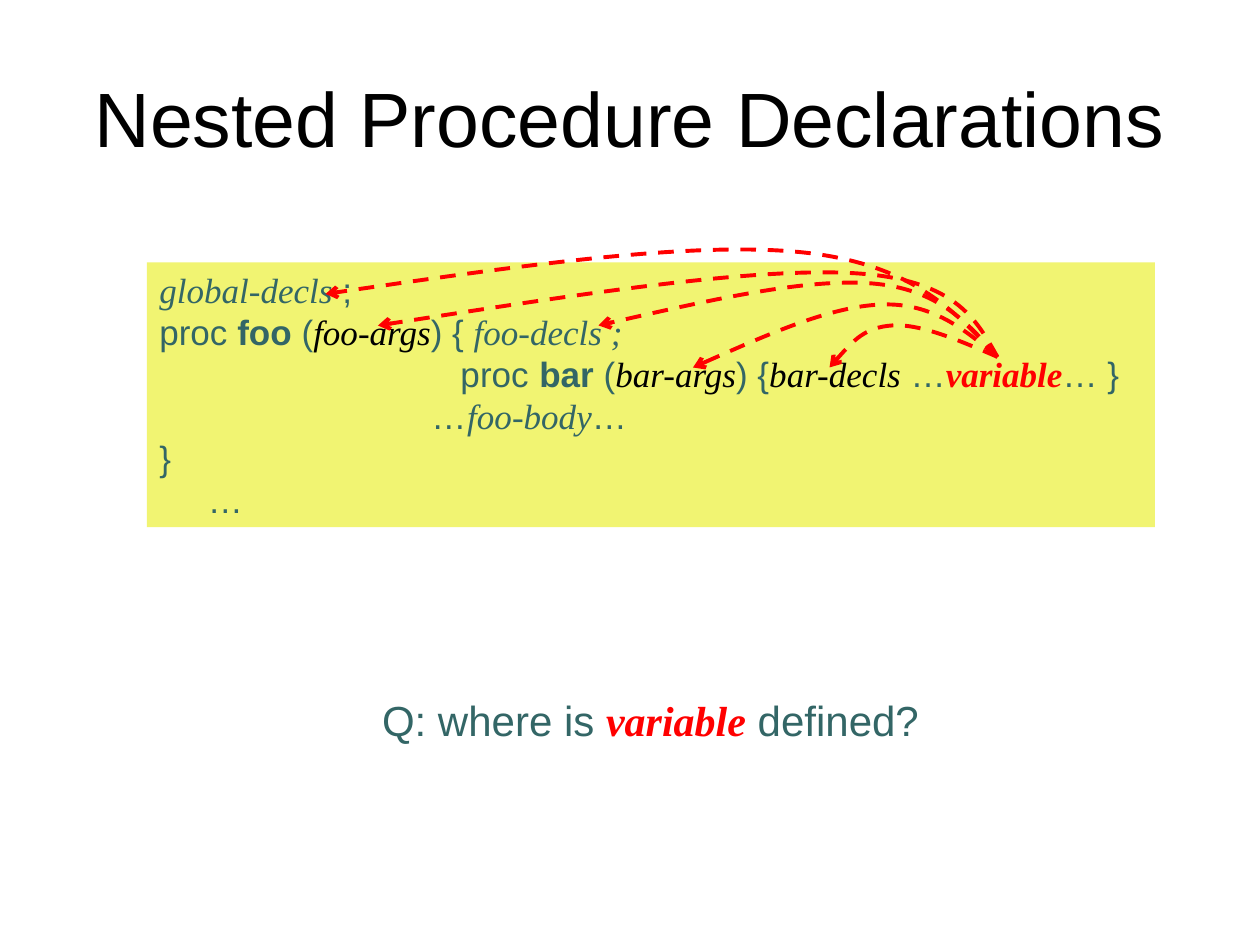
from lxml.etree import SubElement
from pptx import Presentation
from pptx.dml.color import RGBColor as RGB
from pptx.enum.dml import MSO_LINE as Dash
from pptx.enum.shapes import MSO_SHAPE as Shape
from pptx.enum.text import MSO_ANCHOR as Anchor, PP_ALIGN as Align
from pptx.oxml.ns import qn
from pptx.util import Inches, Pt

COLORS = {"black": "000000", "teal": "336666", "red": "FF0000", "lime": "F1F472"}
UNIT = Inches(1) / 12
SANS, SERIF = "Arial", "Times New Roman"
STYLES = {
    "plain": (SANS, "teal", False, False),
    "bold": (SANS, "teal", True, False),
    "italic": (SERIF, "teal", False, True),
    "arg": (SERIF, "black", False, True),
    "var": (SERIF, "red", True, True),
    "title": (SANS, "black", False, False),
}
CODE = [
    [("italic", "global-decls"), ("plain", " ;")],
    [("plain", "proc "), ("bold", "foo"), ("plain", " ("), ("arg", "foo-args"),
     ("plain", ") { "), ("italic", "foo-decls ;")],
    [("plain", "                               proc "), ("bold", "bar"),
     ("plain", " ("), ("arg", "bar-args"), ("plain", ") {"),
     ("arg", "bar-decls"), ("plain", " …"), ("var", "variable"),
     ("plain", "… }")],
    [("plain", "                            …"), ("italic", "foo-body"),
     ("plain", "…")],
    [("plain", "}")],
    [("plain", "     …")],
]
QUESTION = [[("plain", "Q: where is "), ("var", "variable"), ("plain", " defined?")]]
USE = (95, 34)
ARCS = [
    ((85, 31), (79, 35)),
    ((84, 29), (66, 35)),
    ((83, 27), (57, 31)),
    ((81, 26), (36, 31)),
    ((76, 24), (31, 28)),
]


def color(name):
    """Return the named colour."""
    return RGB.from_string(COLORS[name])


def grid(*cells):
    """Turn grid units into lengths."""
    return [round(c * UNIT) for c in cells]


def style(font, name):
    """Apply a named text style to a font."""
    font.name, tint, font.bold, font.italic = STYLES[name]
    font.color.rgb = color(tint)


def write(frame, lines, size, align, wrap=True):
    """Fill a text frame with lines of styled runs."""
    frame.word_wrap = wrap
    frame.vertical_anchor = Anchor.MIDDLE
    for i, line in enumerate(lines):
        para = frame.paragraphs[0] if i == 0 else frame.add_paragraph()
        para.alignment = align
        para.font.size = Pt(size)
        for name, text in line:
            run = para.add_run()
            run.text = text
            style(run.font, name)


def label(slide, cells, lines, size, wrap=True):
    """Add a centred text box."""
    box = slide.shapes.add_textbox(*grid(*cells))
    write(box.text_frame, lines, size, Align.CENTER, wrap)


def panel(slide, cells, lines, size):
    """Add a filled box of code."""
    box = slide.shapes.add_shape(Shape.RECTANGLE, *grid(*cells))
    box.shadow.inherit = False
    box.fill.solid()
    box.fill.fore_color.rgb = color("lime")
    box.line.fill.background()
    write(box.text_frame, lines, size, Align.LEFT)


def blend(a, b):
    """Return the point halfway between two points."""
    return tuple((p + q) / 2 for p, q in zip(a, b))


def arc(slide, start, peak, end):
    """Add a dashed arrow that bends smoothly through its peak."""
    slope = [(s - e) / 6 for s, e in zip(start, end)]
    near = tuple(p + d for p, d in zip(peak, slope))
    far = tuple(p - d for p, d in zip(peak, slope))
    points = [blend(start, near), near, peak, far, blend(far, end), end]
    pen = slide.shapes.build_freeform(*grid(*start))
    pen.add_line_segments([grid(*p) for p in points], close=False)
    curve = pen.convert_to_shape()
    curve.shadow.inherit = False
    curve.fill.background()
    curve.line.color.rgb = color("red")
    curve.line.width = Pt(2.25)
    curve.line.dash_style = Dash.DASH
    tail = SubElement(curve.line._get_or_add_ln(), qn("a:tailEnd"))
    tail.set("type", "arrow")
    route = curve._element.xpath(".//a:path")[0]
    steps = route.findall(qn("a:lnTo"))
    for i in (0, 3):
        bend = SubElement(route, qn("a:cubicBezTo"))
        for step in steps[i:i + 3]:
            bend.append(step[0])
            route.remove(step)


def main():
    """Build the slide and save it."""
    deck = Presentation()
    deck.slide_width, deck.slide_height = Inches(10), Inches(7.5)
    slide = deck.slides.add_slide(deck.slide_layouts[6])
    label(slide, (6, 3.6, 108, 15), [[("title", "Nested Procedure Declarations")]], 44)
    panel(slide, (14, 25, 96, 25.2), CODE, 20)
    label(slide, (35.2, 65.5, 53.5, 6), QUESTION, 24, wrap=False)
    for peak, end in ARCS:
        arc(slide, USE, peak, end)
    deck.save("out.pptx")


if __name__ == "__main__":
    main()
